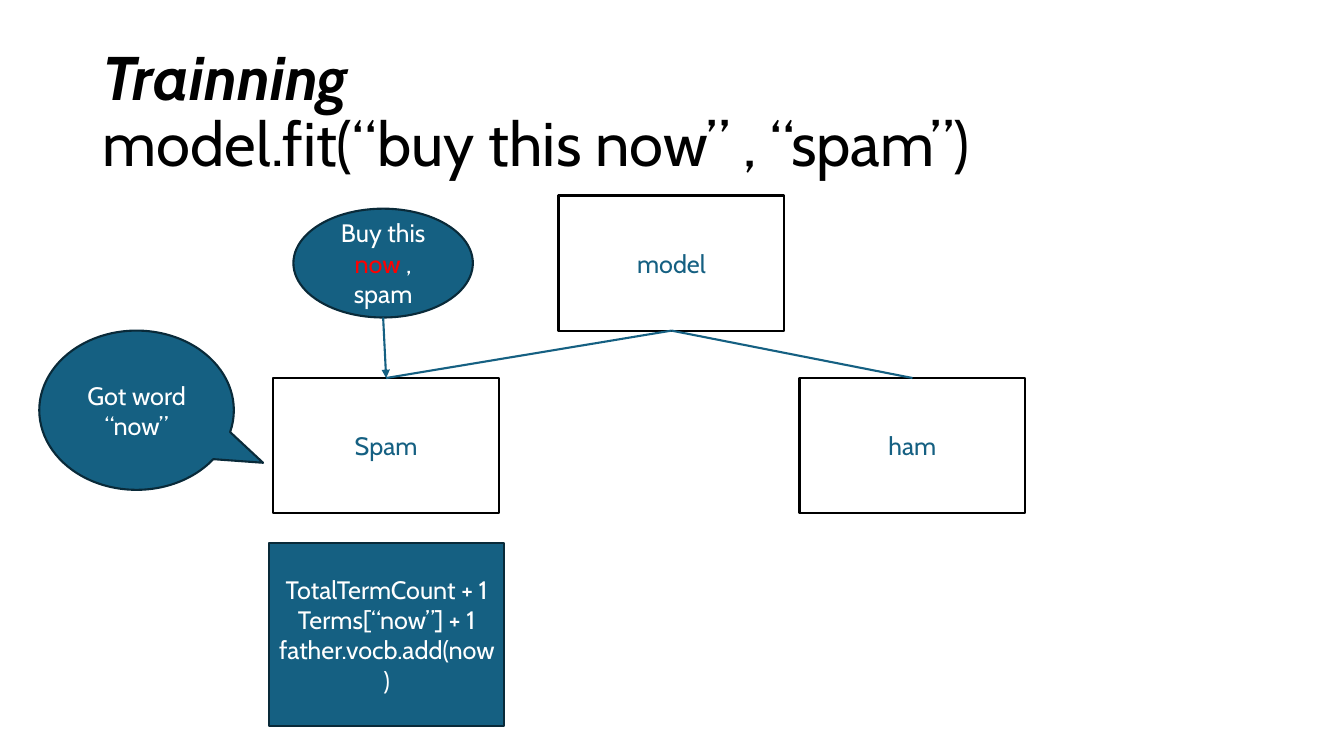
import pptx
import pptx.dml.color
import pptx.enum.shapes
import pptx.enum.text
import pptx.oxml.ns
import pptx.util
from lxml import etree
from pptx.util import Inches

FONT = "Cabin"
BLACK, WHITE, RED = "000000", "FFFFFF", "FF0000"
BLUE, NAVY = "156082", "092A39"
NODE_WIDTH, NODE_HEIGHT = 2.24, 1.34
CHILD_TOP = 3.75
SHAPES = pptx.enum.shapes.MSO_SHAPE


def color(hex_value):
    return pptx.dml.color.RGBColor.from_string(hex_value)


def add_run(paragraph, text, size, hex_value, bold=False, italic=False):
    run = paragraph.add_run()
    run.text = text
    run.font.name = FONT
    run.font.size = pptx.util.Pt(size)
    run.font.bold = bold
    run.font.italic = italic
    run.font.color.rgb = color(hex_value)


def add_title(slide):
    title = slide.shapes.title
    title.left, title.top = Inches(0.92), Inches(0.4)
    title.width, title.height = Inches(11.5), Inches(1.45)
    frame = title.text_frame
    frame.word_wrap = True
    frame.vertical_anchor = pptx.enum.text.MSO_ANCHOR.MIDDLE
    paragraph = frame.paragraphs[0]
    paragraph.alignment = pptx.enum.text.PP_ALIGN.LEFT
    paragraph.line_spacing = 0.9
    add_run(paragraph, "Trainning ", 44, BLACK, bold=True, italic=True)
    paragraph.add_line_break()
    add_run(paragraph, "model.fit(“buy this now” , “spam”)", 44, BLACK)


def add_box(slide, kind, bounds, fill, outline, paragraphs):
    """Add a shape; each paragraph is a list of (text, colour) runs."""
    shape = slide.shapes.add_shape(kind, *map(Inches, bounds))
    shape.shadow.inherit = False
    shape.fill.solid()
    shape.fill.fore_color.rgb = color(fill)
    shape.line.color.rgb = color(outline)
    shape.line.width = pptx.util.Pt(1.5)
    frame = shape.text_frame
    frame.word_wrap = True
    frame.vertical_anchor = pptx.enum.text.MSO_ANCHOR.MIDDLE
    for index, runs in enumerate(paragraphs):
        paragraph = frame.add_paragraph() if index else frame.paragraphs[0]
        paragraph.alignment = pptx.enum.text.PP_ALIGN.CENTER
        for text, hex_value in runs:
            add_run(paragraph, text, 18, hex_value)
    return shape


def add_node(slide, left, top, label):
    bounds = (left, top, NODE_WIDTH, NODE_HEIGHT)
    return add_box(slide, SHAPES.RECTANGLE, bounds, WHITE, BLACK, [[(label, BLUE)]])


def add_link(slide, upper, lower, arrow=False):
    """Join the bottom centre of one shape to the top centre of another."""
    link = slide.shapes.add_connector(
        pptx.enum.shapes.MSO_CONNECTOR.STRAIGHT,
        upper.left + upper.width // 2, upper.top + upper.height,
        lower.left + lower.width // 2, lower.top)
    link.line.color.rgb = color(BLUE)
    link.line.width = pptx.util.Pt(1.5)
    if arrow:
        tail = etree.SubElement(link.line._get_or_add_ln(), pptx.oxml.ns.qn("a:tailEnd"))
        tail.set("type", "triangle")
    etree.SubElement(link._element.spPr, pptx.oxml.ns.qn("a:effectLst"))


def main():
    presentation = pptx.Presentation()
    presentation.slide_width = Inches(13.33)
    presentation.slide_height = Inches(7.5)
    slide = presentation.slides.add_slide(presentation.slide_layouts[5])
    add_title(slide)

    # Model tree
    model = add_node(slide, 5.54, 1.94, "model")
    spam = add_node(slide, 2.71, CHILD_TOP, "Spam")
    ham = add_node(slide, 7.93, CHILD_TOP, "ham")
    for child in (spam, ham):
        add_link(slide, model, child)

    # Training message sent to the spam node
    message = add_box(slide, SHAPES.OVAL, (2.91, 2.07, 1.78, 1.08), BLUE, NAVY,
                      [[("Buy this ", WHITE), ("now", RED), (" , spam", WHITE)]])
    add_link(slide, message, spam, arrow=True)

    # Updates made by the spam node
    updates = ("TotalTermCount + 1", "Terms[“now”] + 1", "father.vocb.add(now)")
    add_box(slide, SHAPES.RECTANGLE, (2.67, 5.39, 2.33, 1.81), BLUE, NAVY,
            [[(update, WHITE)] for update in updates])

    # Speech bubble pointing at the spam node
    bubble = add_box(slide, SHAPES.OVAL_CALLOUT, (0.39, 3.28, 1.93, 1.58), BLUE, NAVY,
                     [[("Got word “now”", WHITE)]])
    bubble.adjustments[0] = 0.65
    bubble.adjustments[1] = 0.33

    presentation.save("out.pptx")


if __name__ == "__main__":
    main()
